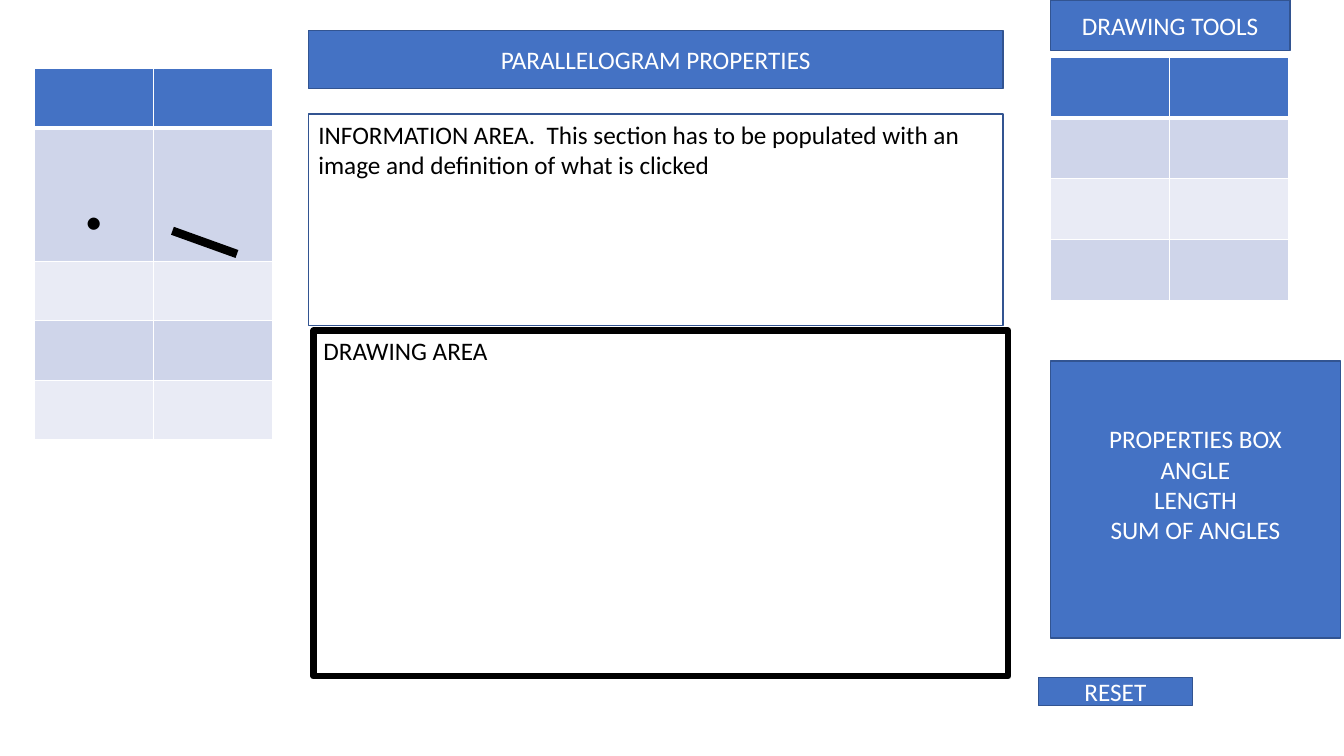
from lxml.etree import SubElement
from pptx import Presentation
from pptx.dml.color import RGBColor
from pptx.enum.shapes import MSO_CONNECTOR, MSO_SHAPE
from pptx.enum.text import MSO_ANCHOR, PP_ALIGN
from pptx.oxml.ns import qn
from pptx.util import Inches, Pt

BLUE, EDGE, BLACK, WHITE = "4472C4", "325491", "000000", "FFFFFF"
BANDS = ["CFD5EA", "E9EBF5"]


def color(code):
    return RGBColor.from_string(code)


def write(frame, lines, size, code, align):
    frame.text = "\n".join(lines)
    for paragraph in frame.paragraphs:
        paragraph.alignment = align
        for name, value in {"size": Pt(size), "name": "Calibri"}.items():
            setattr(paragraph.font, name, value)
        paragraph.font.color.rgb = color(code)


deck = Presentation()
deck.slide_width, deck.slide_height = Inches(13.33), Inches(7.5)
col, row = deck.slide_width / 100, deck.slide_height / 100
slide = deck.slides.add_slide(deck.slide_layouts[6])

side, middle, panel_width, cell_width = 78.15, 22.95, 51.68, 8.85

palettes = []
for left, top, heights in [
    (2.55, 9.07, [7.87, 17.6, 7.87, 7.87, 7.87]),
    (side, 7.6, [8.03] * 4),
]:
    palette = slide.shapes.add_table(
        len(heights), 2, int(left * col), int(top * row),
        int(2 * cell_width * col), int(sum(heights) * row)).table
    for column in palette.columns:
        column.width = int(cell_width * col)
    for index, height in enumerate(heights):
        palette.rows[index].height = int(height * row)
        for cell in palette.rows[index].cells:
            properties = cell._tc.get_or_add_tcPr()
            borders = {"lnL": 1, "lnR": 1, "lnT": 3 if index == 1 else 1,
                       "lnB": 3 if index == 0 else 1}
            for border, width in borders.items():
                line = SubElement(properties, qn("a:" + border), w=str(Pt(width)))
                SubElement(SubElement(line, qn("a:solidFill")), qn("a:srgbClr"), val=WHITE)
            cell.fill.solid()
            cell.fill.fore_color.rgb = color(BANDS[(index - 1) % 2] if index else BLUE)
    palettes.append(palette)

point = palettes[0].cell(1, 0)
point.vertical_anchor = MSO_ANCHOR.MIDDLE
write(point.text_frame, ["."], 72, BLACK, PP_ALIGN.CENTER)

segment = slide.shapes.add_connector(
    MSO_CONNECTOR.STRAIGHT, int(12.83 * col), int(30.53 * row),
    int(17.63 * col), int(33.6 * row))
segment.line.width = Pt(6)
segment.line.color.rgb = color(BLACK)
SubElement(segment._element.spPr, qn("a:effectLst"))

information = ("INFORMATION AREA.  This section has to be populated "
               "with an image and definition of what is clicked")
measures = ["PROPERTIES BOX", "ANGLE", "LENGTH", "SUM OF ANGLES"]
button = {"fill": BLUE, "edge": EDGE, "weight": 1, "ink": WHITE,
          "anchor": MSO_ANCHOR.MIDDLE, "align": PP_ALIGN.CENTER, "bottom": 0.05}
area = {**button, "fill": None, "ink": BLACK,
        "anchor": MSO_ANCHOR.TOP, "align": PP_ALIGN.LEFT}

for lines, left, top, width, height, look in [
    (["PARALLELOGRAM PROPERTIES"], middle, 4, panel_width, 7.73, button),
    (["RESET"], 77.25, 89.6, 11.48, 3.73, button),
    (["DRAWING AREA"], 23.33, 43.73, panel_width, 45.73,
     {**area, "edge": BLACK, "weight": 4.5}),
    ([information], middle, 15.07, panel_width, 28, area),
    (measures, side, 47.73, 21.6, 36.67, {**button, "bottom": 0.35}),
    (["DRAWING TOOLS"], side, 0, 17.85, 6.67, button),
]:
    box = slide.shapes.add_shape(
        MSO_SHAPE.RECTANGLE, int(left * col), int(top * row),
        int(width * col), int(height * row))
    box.shadow.inherit = False
    if look["fill"]:
        box.fill.solid()
        box.fill.fore_color.rgb = color(look["fill"])
    else:
        box.fill.background()
    box.line.color.rgb = color(look["edge"])
    box.line.width = Pt(look["weight"])
    settings = {"word_wrap": True, "vertical_anchor": look["anchor"],
                "margin_bottom": Inches(look["bottom"])}
    for name, value in settings.items():
        setattr(box.text_frame, name, value)
    write(box.text_frame, lines, 18, look["ink"], look["align"])

deck.save("out.pptx")
